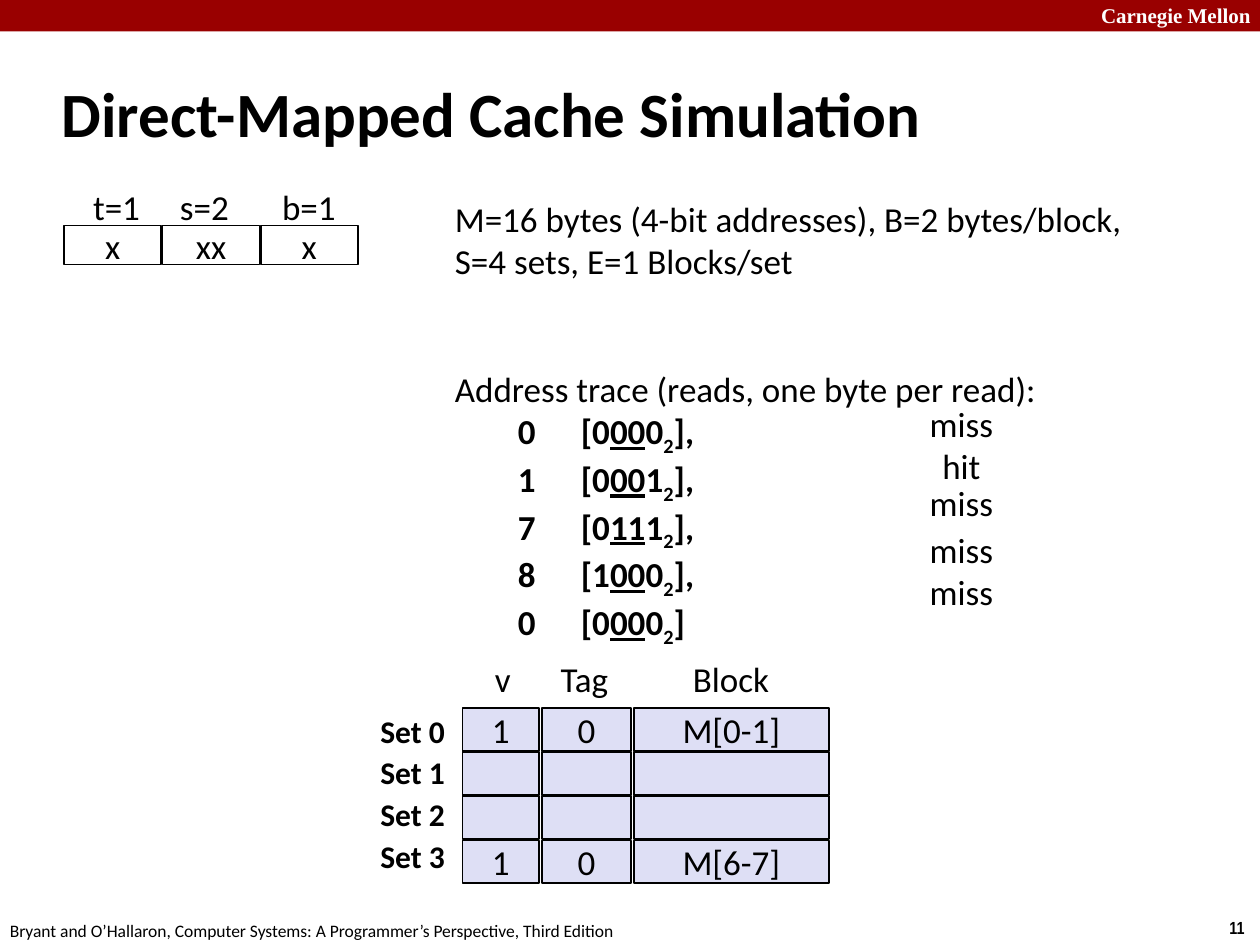
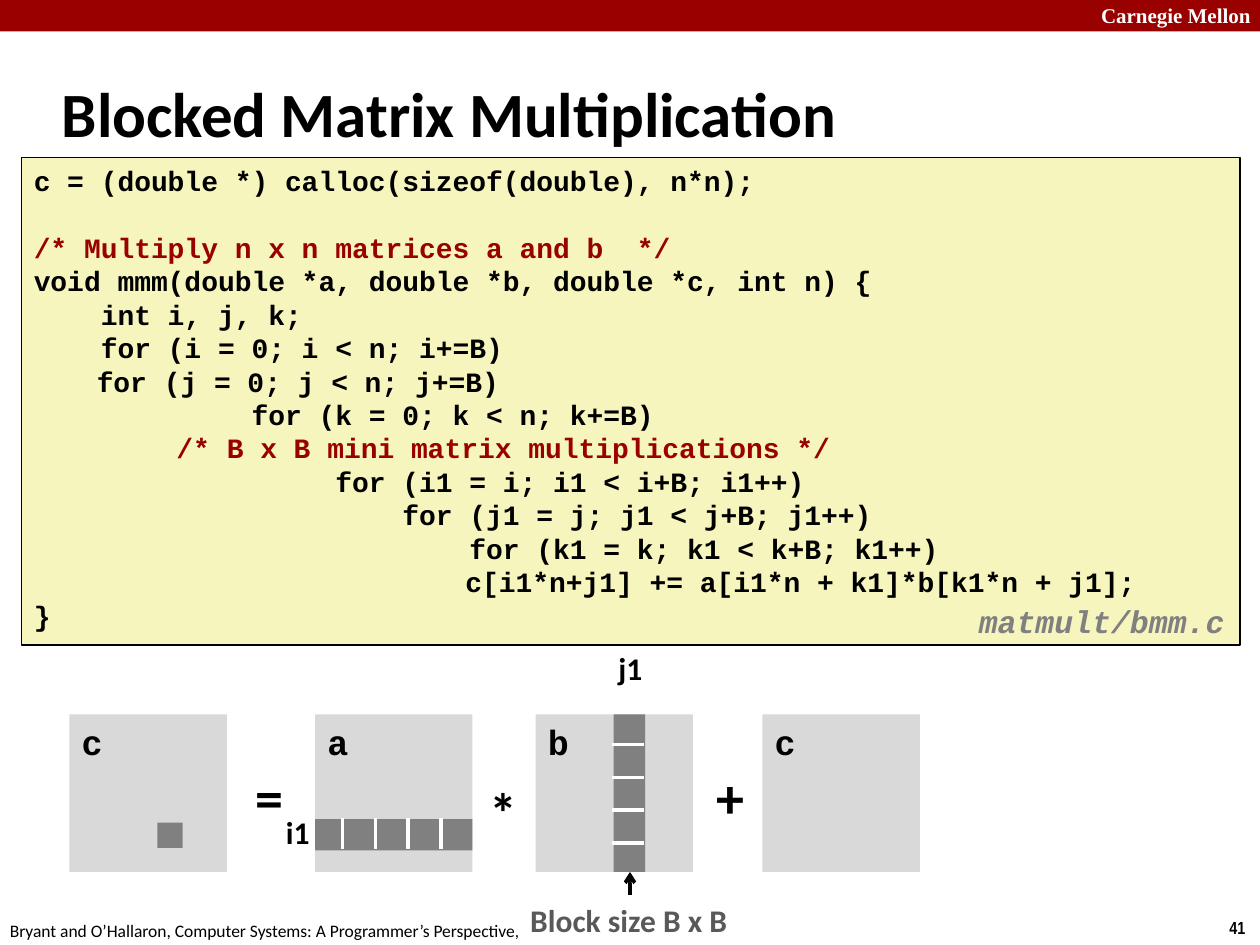
"""Build two lecture slides on cache simulation and blocked matrix code."""
from dataclasses import dataclass, field
from typing import Any

from lxml.etree import SubElement
from pptx import Presentation
from pptx.dml.color import RGBColor
from pptx.enum.shapes import MSO_CONNECTOR, MSO_SHAPE
from pptx.enum.text import MSO_ANCHOR, MSO_AUTO_SIZE, PP_ALIGN
from pptx.oxml.ns import qn
from pptx.util import Pt

RECT = MSO_SHAPE.RECTANGLE
STRAIGHT = MSO_CONNECTOR.STRAIGHT
LEFT, CENTER = PP_ALIGN.LEFT, PP_ALIGN.CENTER
TOP, MIDDLE = MSO_ANCHOR.TOP, MSO_ANCHOR.MIDDLE
GROW, FIXED = MSO_AUTO_SIZE.SHAPE_TO_FIT_TEXT, MSO_AUTO_SIZE.NONE

SCALE = 9144
INCH = 100
BLACK, WHITE, RED, GRAY = "000000", "FFFFFF", "990000", "808080"
PALE, LILAC, CREAM, SLATE = "D9D9D9", "DEDFF5", "F6F5BD", "595959"

PLAIN = {"name": "Calibri", "size": Pt(20), "bold": False}
LABEL = PLAIN | {"size": Pt(18), "bold": True}
TITLE = PLAIN | {"size": Pt(36), "bold": True}
SIGN = PLAIN | {"size": Pt(32), "bold": True}
FOOT = PLAIN | {"size": Pt(10)}
PAGE = {"name": "Arial Narrow", "size": Pt(10), "bold": True}
BRAND = {"name": "Times New Roman", "size": Pt(12), "bold": True}
CODE = {"name": "Courier New", "size": Pt(16), "bold": True}
NAME = CODE | {"size": Pt(20)}
FILE = CODE | {"size": Pt(18), "italic": True}

SOURCE = ("Bryant and O’Hallaron, Computer Systems: "
          "A Programmer’s Perspective, Third Edition")
LINES = (
    "c = (double *) calloc(sizeof(double), n*n);",
    "/* Multiply n x n matrices a and b  */",
    "void mmm(double *a, double *b, double *c, int n) {",
    "    int i, j, k;",
    "    for (i = 0; i < n; i+=B)",
    "\tfor (j = 0; j < n; j+=B)",
    "             for (k = 0; k < n; k+=B)",
    "\t\t /* B x B mini matrix multiplications */",
    "                  for (i1 = i; i1 < i+B; i1++)",
    "                      for (j1 = j; j1 < j+B; j1++)",
    "                          for (k1 = k; k1 < k+B; k1++)",
    "\t                      c[i1*n+j1] += a[i1*n + k1]*b[k1*n + j1];",
    "}",
)


@dataclass
class Box:
    x: int
    y: int
    w: int
    h: int
    text: str = ""
    font: dict[str, Any] = field(default_factory=lambda: PLAIN)
    ink: str = BLACK
    fill: str = ""
    edge: str = ""
    align: Any = LEFT
    anchor: Any = TOP
    wrap: bool = False
    lead: float = 1.0


@dataclass
class Line:
    x1: int
    y1: int
    x2: int
    y2: int
    ink: str = WHITE
    arrow: bool = False


def px(size: int) -> int:
    return size * SCALE


def tint(code: str) -> RGBColor:
    return RGBColor.from_string(code)


def apply(target: Any, values: dict[str, Any]) -> None:
    for key, value in values.items():
        setattr(target, key, value)


def place(shape: Any, x: int, y: int, w: int, h: int) -> None:
    apply(shape, {"left": px(x), "top": px(y), "width": px(w), "height": px(h)})


def add_run(para: Any, text: str, font: dict[str, Any], ink: str = BLACK) -> Any:
    run = para.add_run()
    run.text = text
    apply(run.font, font)
    run.font.color.rgb = tint(ink)
    return run


def next_para(frame: Any, first: bool) -> Any:
    return frame.paragraphs[0] if first else frame.add_paragraph()


def set_tabs(para: Any) -> None:
    props = para._p.get_or_add_pPr()
    apply_flat = {"marL": "0", "indent": "0"}
    for key, value in apply_flat.items():
        props.set(key, value)
    SubElement(props, qn("a:buNone"))
    tabs = SubElement(props, qn("a:tabLst"))
    for stop in (1, 2):
        SubElement(tabs, qn("a:tab"), pos=str(px(stop * INCH)), algn="l")


def draw(slide: Any, box: Box) -> Any:
    area = [px(v) for v in (box.x, box.y, box.w, box.h)]
    if box.fill:
        shape = slide.shapes.add_shape(RECT, *area)
        shape.shadow.inherit = False
        shape.fill.solid()
        shape.fill.fore_color.rgb = tint(box.fill)
        if box.edge:
            shape.line.color.rgb = tint(box.edge)
            shape.line.width = Pt(1)
        else:
            shape.line.fill.background()
    else:
        shape = slide.shapes.add_textbox(*area)
    frame = shape.text_frame
    apply(frame, {"word_wrap": box.wrap, "vertical_anchor": box.anchor,
                  "auto_size": FIXED if box.fill else GROW})
    if box.text:
        para = frame.paragraphs[0]
        apply(para, {"alignment": box.align, "line_spacing": box.lead})
        add_run(para, box.text, box.font, box.ink)
    return shape


def link(slide: Any, line: Line) -> None:
    ends = [px(v) for v in (line.x1, line.y1, line.x2, line.y2)]
    shape = slide.shapes.add_connector(STRAIGHT, *ends)
    shape.line.color.rgb = tint(line.ink)
    shape.line.width = Pt(2)
    props = shape._element.spPr
    if line.arrow:
        SubElement(props.find(qn("a:ln")), qn("a:tailEnd"), type="arrow")
    SubElement(props, qn("a:effectLst"))


def start(deck: Any, layout: int, title: str, page: str) -> Any:
    slide = deck.slides.add_slide(deck.slide_layouts[layout])
    head = slide.shapes.title
    place(head, 39, 48, 830, 83)
    apply(head.text_frame, {"vertical_anchor": MIDDLE, "auto_size": FIXED})
    para = head.text_frame.paragraphs[0]
    para.alignment = LEFT
    add_run(para, title, TITLE)
    for box in (
        Box(0, 0, 1000, 25, fill=RED),
        Box(864, -3, 143, 30, "Carnegie Mellon", BRAND, WHITE, wrap=True),
        Box(966, 723, 34, 27, page, PAGE),
        Box(-2, 725, 508, 27, SOURCE, FOOT),
    ):
        draw(slide, box)
    return slide


def write_trace(slide: Any) -> None:
    body = slide.placeholders[1]
    place(body, 351, 152, 674, 346)
    frame = body.text_frame
    apply(frame, {"auto_size": FIXED, "word_wrap": True})
    intro = (("M=16 bytes (4-bit addresses), B=2 bytes/block,", 0),
             ("S=4 sets, E=1 Blocks/set", 0),
             ("Address trace (reads, one byte per read):", 49))
    for i, (text, gap) in enumerate(intro):
        para = next_para(frame, i == 0)
        set_tabs(para)
        para.space_before = Pt(gap)
        add_run(para, text, PLAIN)
    bold = PLAIN | {"bold": True}
    reads = (0, 1, 7, 8, 0)
    for i, read in enumerate(reads):
        bits = f"{read:04b}"
        para = next_para(frame, False)
        set_tabs(para)
        para.space_before = Pt(0)
        add_run(para, f"\t{read}\t[{bits[0]}", bold)
        add_run(para, bits[1:3], bold | {"underline": True})
        add_run(para, bits[3], bold)
        base = add_run(para, "2", bold)
        base._r.get_or_add_rPr().set("baseline", "-25000")
        add_run(para, "]" if i == len(reads) - 1 else "],", bold)


def cache_slide(deck: Any) -> None:
    slide = start(deck, 1, "Direct-Mapped Cache Simulation", "11")
    write_trace(slide)
    cell = {"edge": BLACK, "align": CENTER, "anchor": MIDDLE}
    for i, bits in enumerate(("x", "xx", "x")):
        draw(slide, Box(51 + 78 * i, 179, 77, 31, bits, fill=WHITE, **cell))
    for x, w, text in ((64, 58, "t=1"), (133, 59, "s=2"), (214, 63, "b=1")):
        draw(slide, Box(x, 142, w, 43, text))
    for x, w, text in ((383, 34, "v"), (435, 58, "Tag"), (540, 81, "Block")):
        draw(slide, Box(x, 517, w, 43, text))
    rows = (("1", "0", "M[0-1]"), ("",) * 3, ("",) * 3, ("1", "0", "M[6-7]"))
    cols = ((367, 61), (430, 71), (503, 155))
    for i, row in enumerate(rows):
        for (x, w), text in zip(cols, row):
            draw(slide, Box(x, 562 + 35 * i, w, 34, text, fill=LILAC, **cell))
        draw(slide, Box(292, 560 + 33 * i, 72, 40, f"Set {i}", LABEL))
    for y, text in ((325, "miss"), (358, "hit"), (388, "miss"),
                    (425, "miss"), (458, "miss")):
        x, w = (738, 51) if text == "hit" else (728, 71)
        draw(slide, Box(x, y, w, 34, text, lead=0.65))


def write_code(slide: Any) -> None:
    panel = Box(17, 125, 967, 387, fill=CREAM, edge=BLACK, wrap=True)
    frame = draw(slide, panel).text_frame
    step = Pt(19.1)
    for i, text in enumerate(LINES):
        para = next_para(frame, i == 0)
        set_tabs(para)
        apply(para, {"alignment": LEFT, "line_spacing": step,
                     "space_before": step if i == 1 else Pt(0)})
        add_run(para, text, CODE, RED if "/*" in text else BLACK)


def matrix_slide(deck: Any) -> None:
    slide = start(deck, 5, "Blocked Matrix Multiplication", "41")
    write_code(slide)
    for x, text in ((55, "c"), (250, "a"), (425, "b"), (605, "c")):
        draw(slide, Box(x, 567, 125, 125, text, NAME, fill=PALE, wrap=True))
    for box in (
        Box(217, 640, 39, 40, "i1", LABEL),
        Box(481, 510, 39, 40, "j1", LABEL),
        Box(379, 612, 43, 64, "*", SIGN),
        Box(193, 600, 43, 64, "=", SIGN),
        Box(559, 600, 43, 64, "+", SIGN),
        Box(125, 653, 20, 20, fill=GRAY),
        Box(250, 650, 125, 25, fill=GRAY),
        Box(487, 567, 25, 125, fill=GRAY),
        Box(411, 710, 178, 40, "Block size B x B", LABEL, SLATE, WHITE),
        Box(767, 475, 223, 39, "matmult/bmm.c", FILE, GRAY, lead=0.94),
    ):
        draw(slide, box)
    for i in range(4):
        x, y = 272 + 26 * i, 591 + 26 * i
        link(slide, Line(x, 649, x, 674))
        link(slide, Line(511, y, 486, y))
    link(slide, Line(500, 710, 500, 692, BLACK, True))


def main() -> None:
    deck = Presentation()
    apply(deck, {"slide_width": px(1000), "slide_height": px(750)})
    cache_slide(deck)
    matrix_slide(deck)
    deck.save("out.pptx")


if __name__ == "__main__":
    main()
